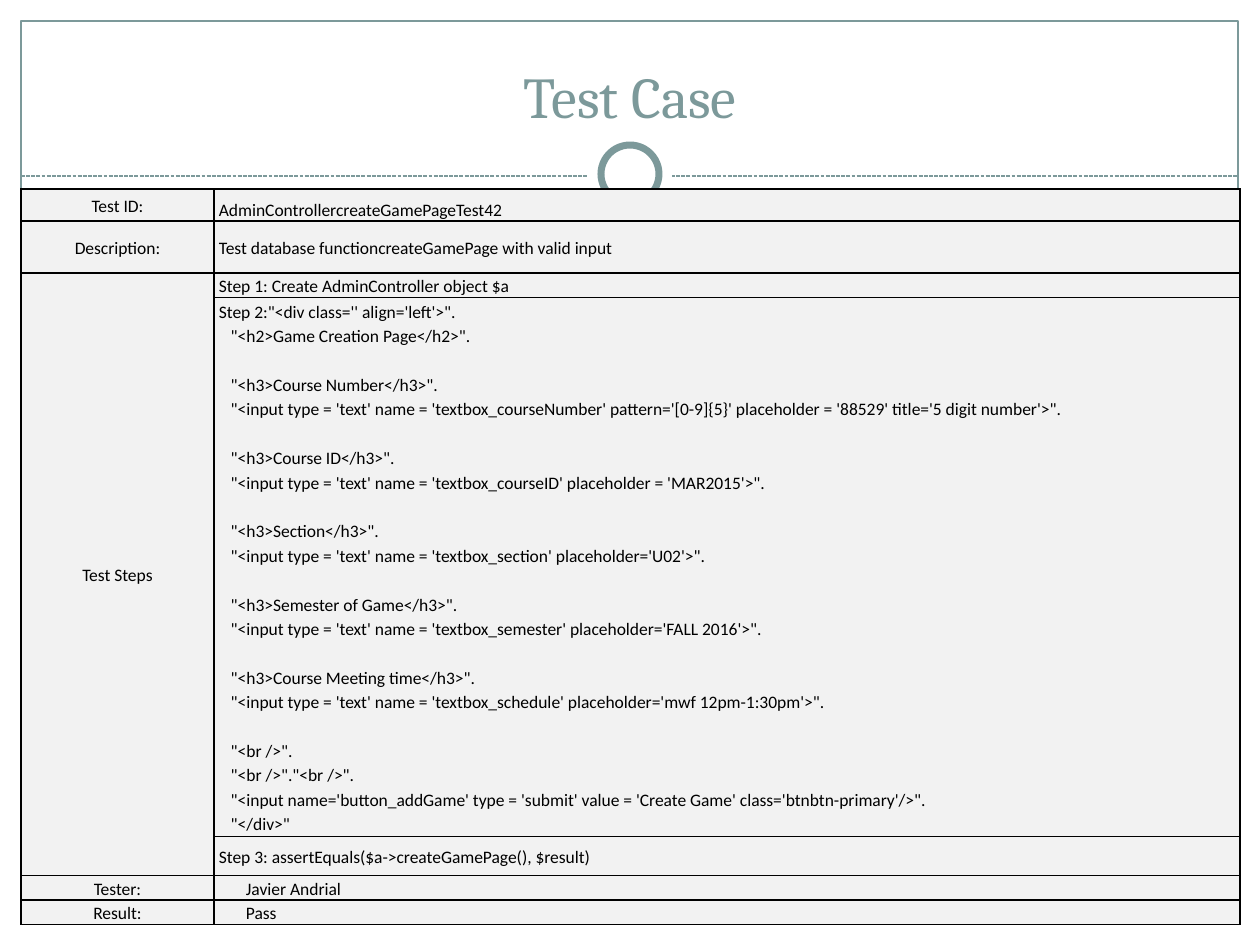
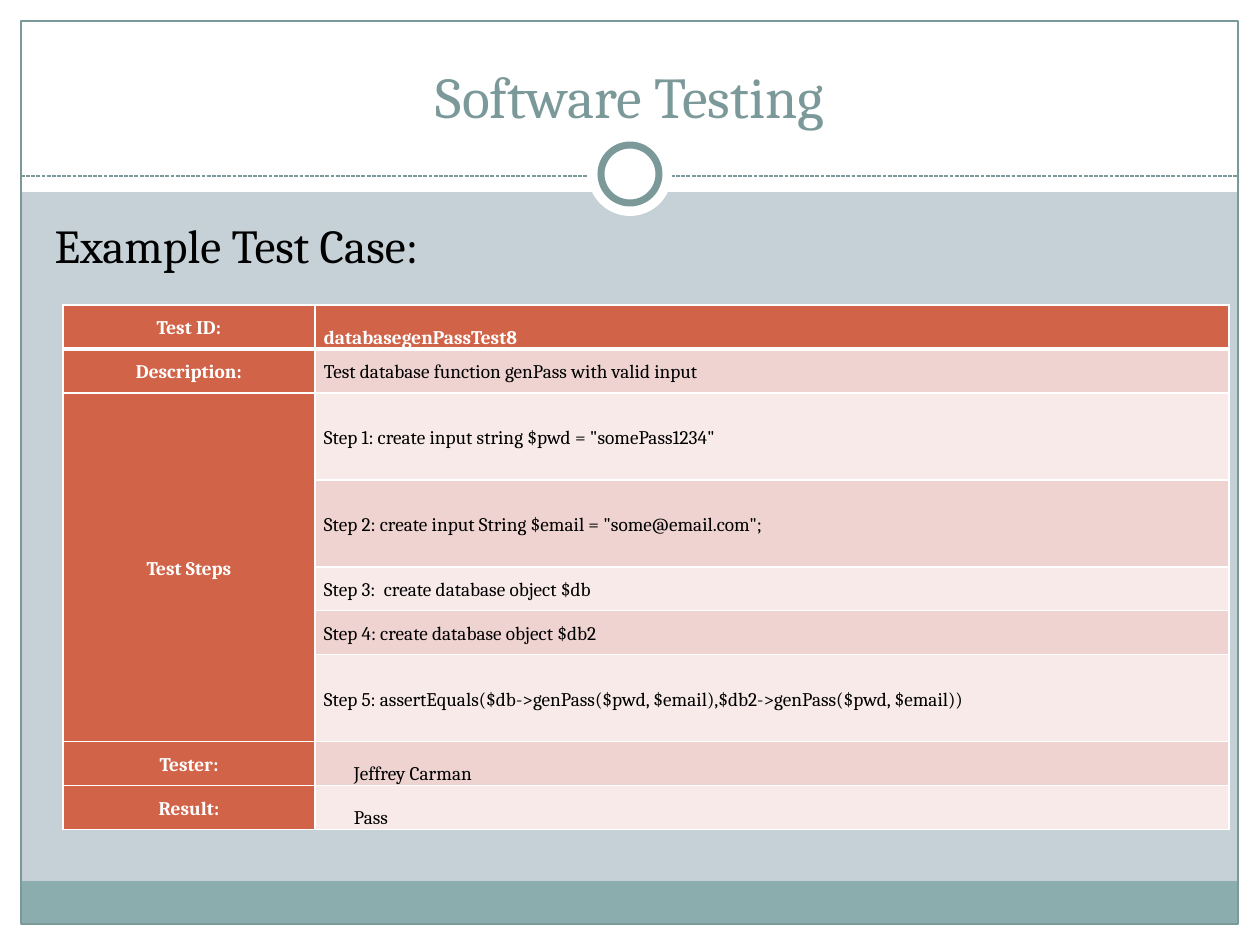
import dataclasses
import itertools

import lxml.etree
import pptx
import pptx.dml.color
import pptx.enum.dml
import pptx.enum.shapes
import pptx.enum.text
import pptx.oxml.ns
import pptx.util

EMU_PER_PX = 914400 / 126
qn = pptx.oxml.ns.qn
RGB = pptx.dml.color.RGBColor.from_string
ANCHOR = pptx.enum.text.MSO_ANCHOR
ALIGN = pptx.enum.text.PP_ALIGN
RECTANGLE = pptx.enum.shapes.MSO_SHAPE.RECTANGLE
OVAL = pptx.enum.shapes.MSO_SHAPE.OVAL


@dataclasses.dataclass(frozen=True)
class Theme:
    background: str = "C5D1D7"
    white: str = "FFFFFF"
    black: str = "000000"
    footer: str = "8CADAE"
    teal: str = "7C999A"
    grey: str = "F2F2F2"
    accent: str = "D16349"
    rose: str = "EED3D0"
    pale: str = "F7EAE9"
    heading_font: str = "Cambria"
    plain_font: str = "Calibri"
    title_size: int = 33
    body_size: int = 27
    thin: float = 0.75
    ring: float = 4


theme = Theme()


def px(*lengths):
    """Turn whole pixels into a list of EMU lengths."""
    return [pptx.util.Emu(round(length * EMU_PER_PX)) for length in lengths]


def write(paragraph, text, font, size, color, bold=False):
    """Add one run per line of text, with sized line breaks between them."""
    for number, line in enumerate(text.split("\n")):
        if number:
            paragraph.add_line_break()
        if line:
            run = paragraph.add_run()
            run.text = line
            run.font.name = font
            run.font.size = pptx.util.Pt(size)
            run.font.bold = bold
            run.font.color.rgb = RGB(color)
    for line_break in paragraph._p.findall(qn("a:br")):
        lxml.etree.SubElement(line_break, qn("a:rPr"), sz=str(size * 100))


FORM_CODE = '''Step 2:"<div class='' align='left'>".
   "<h2>Game Creation Page</h2>".

   "<h3>Course Number</h3>".
   "<input type = 'text' name = 'textbox_courseNumber' pattern='[0-9]{5}' placeholder = '88529' title='5 digit number'>".

   "<h3>Course ID</h3>".
   "<input type = 'text' name = 'textbox_courseID' placeholder = 'MAR2015'>".

   "<h3>Section</h3>".
   "<input type = 'text' name = 'textbox_section' placeholder='U02'>".

   "<h3>Semester of Game</h3>".
   "<input type = 'text' name = 'textbox_semester' placeholder='FALL 2016'>".

   "<h3>Course Meeting time</h3>".
   "<input type = 'text' name = 'textbox_schedule' placeholder='mwf 12pm-1:30pm'>".

   "<br />".
   "<br />"."<br />".
   "<input name='button_addGame' type = 'submit' value = 'Create Game' class='btnbtn-primary'/>".
   "</div>"'''

# Rows: height, value. The first two and last two rows have labels of their own.
test_cases = [
    dict(
        title="Test Case", body=None, layout=5,
        origin=(21, 189), columns=(193, 1026), inset=5, indent=27,
        font=theme.plain_font, size=10, border=theme.black, header_border=1,
        label_fill=theme.grey, label_color=theme.black, bold=False,
        value_fills=[theme.grey],
        rows=[
            (32, "AdminControllercreateGamePageTest42"),
            (52, "Test database functioncreateGamePage with valid input"),
            (24, "Step 1: Create AdminController object $a"),
            (539, FORM_CODE),
            (39, "Step 3: assertEquals($a->createGamePage(), $result)"),
            (24, "Javier Andrial"),
            (24, "Pass"),
        ],
    ),
    dict(
        title="Software Testing", body="Example Test Case:", layout=1,
        origin=(63, 305), columns=(252, 914), inset=9, indent=30,
        font=theme.heading_font, size=11, border=theme.white, header_border=3,
        label_fill=theme.accent, label_color=theme.white, bold=True,
        value_fills=[theme.rose, theme.pale],
        rows=[
            (44, "databasegenPassTest8"),
            (44, "Test database function genPass with valid input"),
            (87, 'Step 1: create input string $pwd = "somePass1234"'),
            (87, 'Step 2: create input String $email = "some@email.com";'),
            (44, "Step 3:  create database object $db"),
            (44, "Step 4: create database object $db2"),
            (87, "Step 5: assertEquals($db->genPass($pwd, $email),$db2->genPass($pwd, $email))"),
            (44, "Jeffrey Carman"),
            (44, "Pass"),
        ],
    ),
]

presentation = pptx.Presentation()
presentation.slide_width, presentation.slide_height = px(1260, 945)
master = presentation.slide_master
master.background.fill.solid()
master.background.fill.fore_color.rgb = RGB(theme.background)
slides = [
    presentation.slides.add_slide(presentation.slide_layouts[case["layout"]])
    for case in test_cases
]

# Shared decoration: preset (None for the rule), box, fill, line width
decorations = [
    (RECTANGLE, (0, 924, 1260, 21), theme.white, None),
    (RECTANGLE, (0, 0, 1260, 192), theme.white, None),
    (RECTANGLE, (0, 0, 21, 945), theme.white, None),
    (RECTANGLE, (1239, 0, 21, 945), theme.white, None),
    (RECTANGLE, (21, 881, 1217, 43), theme.footer, None),
    (RECTANGLE, (21, 21, 1217, 903), None, theme.thin),
    (None, (21, 176, 1217, 0), None, theme.thin),
    (OVAL, (588, 132, 84, 84), theme.white, None),
    (OVAL, (601, 145, 58, 58), theme.white, theme.ring),
]
for number, (preset, (left, top, width, height), fill, line) in enumerate(decorations):
    if preset is None:
        shape = slides[0].shapes.add_connector(
            pptx.enum.shapes.MSO_CONNECTOR.STRAIGHT, *px(left, top, left + width, top + height)
        )
        shape.line.dash_style = pptx.enum.dml.MSO_LINE.SQUARE_DOT
    else:
        shape = slides[0].shapes.add_shape(preset, *px(left, top, width, height))
        shape.shadow.inherit = False
        if fill:
            shape.fill.solid()
            shape.fill.fore_color.rgb = RGB(fill)
        else:
            shape.fill.background()
    if line:
        shape.line.color.rgb = RGB(theme.teal)
        shape.line.width = pptx.util.Pt(line)
    else:
        shape.line.fill.background()
    if preset is None:
        lxml.etree.SubElement(shape._element.spPr, qn("a:effectLst"))
    # The master holds the decoration, behind everything else
    shape._element.xpath(".//p:cNvPr")[0].set("id", str(100 + number))
    master.shapes._spTree.insert(2 + number, shape._element)

for slide, case in zip(slides, test_cases):
    title = slide.shapes.title
    title.left, title.top, title.width, title.height = px(42, 32, 1176, 104)
    title.text_frame.auto_size = pptx.enum.text.MSO_AUTO_SIZE.NONE
    title.text_frame.vertical_anchor = ANCHOR.BOTTOM
    paragraph = title.text_frame.paragraphs[0]
    paragraph.alignment = ALIGN.CENTER
    write(paragraph, case["title"], theme.heading_font, theme.title_size, theme.teal)

    if case["body"]:
        body = slide.placeholders[1]
        body.left, body.top, body.width, body.height = px(42, 210, 1172, 630)
        body.text_frame.auto_size = pptx.enum.text.MSO_AUTO_SIZE.NONE
        paragraph = body.text_frame.paragraphs[0]
        properties = paragraph._p.get_or_add_pPr()
        properties.set("marL", "0")
        properties.set("indent", "0")
        lxml.etree.SubElement(properties, qn("a:buNone"))
        paragraph.space_before = pptx.util.Pt(0)
        write(paragraph, case["body"], theme.heading_font, theme.body_size, theme.black)

    rows = case["rows"]
    last = len(rows) - 1
    labels = {0: "Test ID:", 1: "Description:", 2: "Test Steps",
              last - 1: "Tester:", last: "Result:"}
    table_size = sum(case["columns"]), sum(height for height, _ in rows)
    table = slide.shapes.add_table(len(rows), 2, *px(*case["origin"], *table_size)).table
    table.first_row = table.horz_banding = False
    for column, width in zip(table.columns, px(*case["columns"])):
        column.width = width
    table.cell(2, 0).merge(table.cell(last - 2, 0))

    value_fills = itertools.cycle(case["value_fills"])
    for row, (height, value) in enumerate(rows):
        table.rows[row].height = px(height)[0]
        value_fill = next(value_fills) if row else case["label_fill"]
        for column, text in enumerate((labels.get(row, ""), value)):
            cell = table.cell(row, column)
            is_label = column == 0
            is_strong = is_label or row == 0
            is_low = not is_label and row in (0, last - 1, last)
            is_indented = not is_label and row >= last - 1

            for side in ("L", "R", "T", "B"):
                under_header = (row, side) in ((0, "B"), (1, "T"))
                points = case["header_border"] if under_header else 1
                border = lxml.etree.SubElement(
                    cell._tc.get_or_add_tcPr(), qn(f"a:ln{side}"), w=str(pptx.util.Pt(points))
                )
                solid = lxml.etree.SubElement(border, qn("a:solidFill"))
                lxml.etree.SubElement(solid, qn("a:srgbClr"), val=case["border"])
            cell.fill.solid()
            cell.fill.fore_color.rgb = RGB(case["label_fill"] if is_label else value_fill)

            indent = case["indent"] if is_indented else 0
            cell.margin_left, cell.margin_right = px(case["inset"] + indent, case["inset"])
            cell.margin_top = cell.margin_bottom = 0
            cell.vertical_anchor = ANCHOR.BOTTOM if is_low else ANCHOR.MIDDLE
            paragraph = cell.text_frame.paragraphs[0]
            paragraph.alignment = ALIGN.CENTER if is_label else ALIGN.LEFT
            paragraph.line_spacing = 1.15
            write(paragraph, text, case["font"], case["size"],
                  case["label_color"] if is_strong else theme.black,
                  is_strong and case["bold"])
            if not text:
                paragraph.font.size = pptx.util.Pt(case["size"])

presentation.save("out.pptx")
